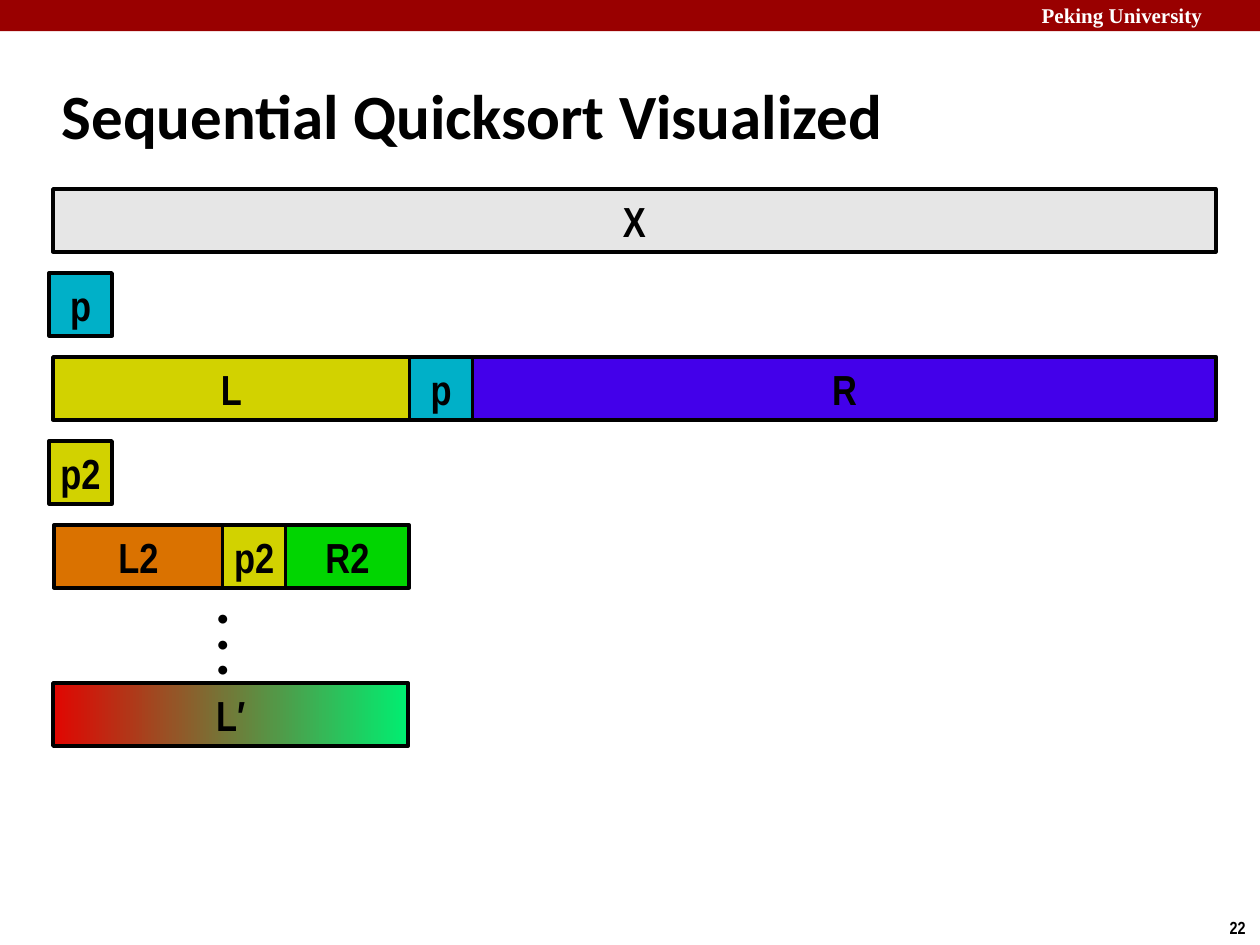
from dataclasses import dataclass

from pptx import Presentation
from pptx.dml.color import RGBColor
from pptx.enum.shapes import MSO_SHAPE
from pptx.enum.text import MSO_ANCHOR, MSO_AUTO_SIZE, PP_ALIGN
from pptx.util import Cm, Pt

COLORS = {
    "black": "000000", "white": "FFFFFF", "banner": "990000",
    "array": "E6E6E6", "pivot": "00B0C8", "left": "D2D200", "right": "4300EA",
    "left2": "DA7200", "right2": "01D501",
    "sorted_low": "E10601", "sorted_high": "00EE71",
}
ROW_TOP, ROW_STEP, BAR_H = 3.81, 1.693, 1.27
BOX = BAR_H  # a pivot is a square


@dataclass
class Segment:
    label: str
    width: float
    color: str


@dataclass
class Row:
    left: float
    segments: list[Segment]


ROWS = [
    Row(1.07, [Segment("X", 23.44, "array")]),
    Row(0.99, [Segment("p", BOX, "pivot")]),
    Row(1.07, [Segment("L", 7.19, "left"), Segment("p", BOX, "pivot"),
               Segment("R", 14.99, "right")]),
    Row(0.99, [Segment("p2", BOX, "left")]),
    Row(1.09, [Segment("L2", 3.4, "left2"), Segment("p2", BOX, "left"),
               Segment("R2", 2.49, "right2")]),
]


def rgb(name: str) -> RGBColor:
    return RGBColor.from_string(COLORS[name])


def add_run(p, text: str, size: float, font: str, color: str = "black") -> None:
    r = p.add_run()
    r.text = text
    r.font.size, r.font.name, r.font.bold = Pt(size), font, True
    r.font.color.rgb = rgb(color)


def add_rect(s, left: float, top: float, width: float, height: float, color: str):
    sp = s.shapes.add_shape(MSO_SHAPE.RECTANGLE, Cm(left), Cm(top), Cm(width), Cm(height))
    sp.shadow.inherit = False
    sp.fill.solid()
    sp.fill.fore_color.rgb = rgb(color)
    sp.line.fill.background()
    return sp


def add_segment(s, left: float, top: float, seg: Segment):
    sp = add_rect(s, left, top, seg.width, BAR_H, seg.color)
    sp.line.color.rgb = rgb("black")
    sp.line.width = Pt(2)
    tf = sp.text_frame
    tf.word_wrap = False
    tf.vertical_anchor = MSO_ANCHOR.MIDDLE
    p = tf.paragraphs[0]
    p.alignment = PP_ALIGN.CENTER
    add_run(p, seg.label, 24, "Arial Narrow")
    return sp


def add_text(s, left: float, top: float, width: float, height: float, lines: list[str],
             size: float, font: str, color: str = "black", wrap: bool = False) -> None:
    tf = s.shapes.add_textbox(Cm(left), Cm(top), Cm(width), Cm(height)).text_frame
    tf.word_wrap = wrap
    tf.auto_size = MSO_AUTO_SIZE.SHAPE_TO_FIT_TEXT
    for i, line in enumerate(lines):
        p = tf.add_paragraph() if i else tf.paragraphs[0]
        add_run(p, line, size, font, color)


def add_title(s, text: str) -> None:
    sp = s.shapes.title
    sp.left, sp.top, sp.width, sp.height = Cm(0.99), Cm(1.24), Cm(21.08), Cm(2.11)
    tf = sp.text_frame
    tf.auto_size = MSO_AUTO_SIZE.NONE
    tf.vertical_anchor = MSO_ANCHOR.MIDDLE
    p = tf.paragraphs[0]
    p.alignment = PP_ALIGN.LEFT
    add_run(p, text, 36, "Calibri")


def add_row(s, row: Row, top: float) -> None:
    left = row.left
    for seg in row.segments:
        add_segment(s, left, top, seg)
        left += seg.width


def add_sorted_bar(s) -> None:
    sp = add_segment(s, 1.07, 13.77, Segment("L′", 7.16, "sorted_low"))
    sp.fill.gradient()
    sp.fill.gradient_angle = 0
    for stop, position, color in zip(sp.fill.gradient_stops, (0, 1),
                                     ("sorted_low", "sorted_high")):
        stop.position = position
        stop.color.rgb = rgb(color)


def main() -> None:
    prs = Presentation()
    prs.slide_width, prs.slide_height = Cm(25.4), Cm(19.05)
    s = prs.slides.add_slide(prs.slide_layouts[5])
    add_rect(s, 0, 0, 25.4, 0.63, "banner")
    add_text(s, 20.75, -0.08, 4.83, 0.76, ["Peking University"], 12,
             "Times New Roman", "white", wrap=True)
    add_text(s, 24.54, 18.36, 0.86, 0.69, ["22"], 10, "Arial Narrow")
    add_title(s, "Sequential Quicksort Visualized")
    for i, row in enumerate(ROWS):
        add_row(s, row, ROW_TOP + i * ROW_STEP)
    add_text(s, 4.14, 12.07, 0.71, 1.8, ["•"] * 3, 12, "Calibri")
    add_sorted_bar(s)
    prs.save("out.pptx")


if __name__ == "__main__":
    main()
